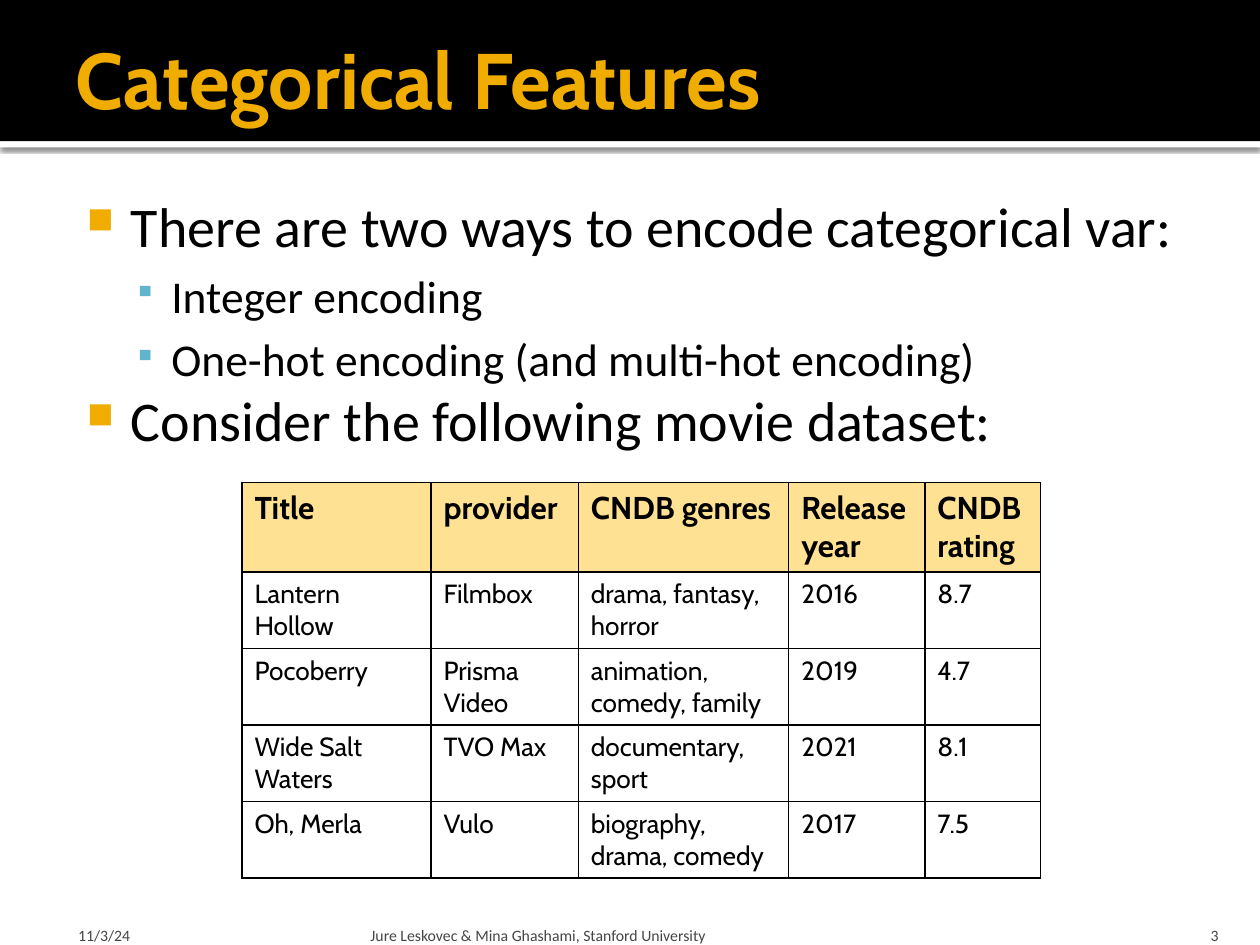
from lxml.etree import SubElement
from pptx import Presentation
from pptx.dml.color import RGBColor
from pptx.enum.shapes import MSO_SHAPE
from pptx.enum.text import MSO_ANCHOR, MSO_AUTO_SIZE, PP_ALIGN
from pptx.oxml.ns import qn
from pptx.util import Inches, Pt

BLACK, WHITE, GOLD, TEAL = "000000", "FFFFFF", "F0AD00", "60B5CC"
GREY, HEADER_FILL = "454545", "FFE193"

POINTS = [
    (0, "There are two ways to encode categorical var:"),
    (1, "Integer encoding"),
    (1, "One-hot encoding (and multi-hot encoding)"),
    (0, "Consider the following movie dataset:"),
]
LEVELS = [
    {"size": 32, "indent": (0.48, -0.35), "before": 0, "bullet": ("■", GOLD, 65)},
    {"size": 26, "indent": (0.8, -0.3), "before": 5.2, "bullet": ("▪", TEAL, 70)},
]
COLUMN_WIDTHS = [1.5, 1.17, 1.67, 1.08, 0.92]
MOVIES = [
    ["Title", "provider", "CNDB genres", "Release year", "CNDB rating"],
    ["Lantern Hollow", "Filmbox", "drama, fantasy, horror", "2016", "8.7"],
    ["Pocoberry", "Prisma Video", "animation, comedy, family", "2019", "4.7"],
    ["Wide Salt Waters", "TVO Max", "documentary, sport", "2021", "8.1"],
    ["Oh, Merla", "Vulo", "biography, drama, comedy", "2017", "7.5"],
]


def color(value):
    """Turn a hex string into a colour."""
    return RGBColor.from_string(value)


def format_runs(paragraph, size, font, text_color, bold=False):
    """Give every run of a paragraph the same font."""
    for run in paragraph.runs:
        run.font.size = Pt(size)
        run.font.name = font
        run.font.bold = bold
        run.font.color.rgb = color(text_color)


def set_frame(frame, margins, anchor):
    """Set the wrapping, insets and anchor of a text frame."""
    frame.word_wrap = True
    frame.auto_size = MSO_AUTO_SIZE.NONE
    frame.vertical_anchor = anchor
    (frame.margin_left, frame.margin_top,
     frame.margin_right, frame.margin_bottom) = map(Inches, margins)


def add_band(slide, top, height, fill):
    """Add a full-width band without outline or shadow."""
    band = slide.shapes.add_shape(
        MSO_SHAPE.RECTANGLE, 0, Inches(top), Inches(10), Inches(height))
    band.shadow.inherit = False
    band.fill.solid()
    band.fill.fore_color.rgb = color(fill)
    band.line.fill.background()
    return band


def add_drop_shadow(band):
    """Cast a soft shadow straight down."""
    effects = band._element.spPr.find(qn("a:effectLst"))
    shadow = SubElement(effects, qn("a:outerShdw"), blurRad=str(Pt(2.5)),
                        dist=str(Pt(0.8)), dir="5400000", rotWithShape="0")
    shade = SubElement(shadow, qn("a:srgbClr"), val=BLACK)
    SubElement(shade, qn("a:alpha"), val="60000")


def place_title(slide, text):
    """Fill the title placeholder and bring it in front of the bands."""
    title = slide.shapes.title
    slide.shapes._spTree.append(title._element)
    title.left, title.top = Inches(0.5), Inches(0.08)
    title.width, title.height = Inches(9), Inches(1.08)
    title.text_frame.text = text
    set_frame(title.text_frame, (0.1, 0.05, 0.05, 0.05), MSO_ANCHOR.MIDDLE)
    heading = title.text_frame.paragraphs[0]
    heading.alignment = PP_ALIGN.LEFT
    format_runs(heading, 45, "Cabin", GOLD, bold=True)


def set_bullet(paragraph, indent, bullet):
    """Give a paragraph a hanging indent and a coloured bullet."""
    character, bullet_color, percent = bullet
    properties = paragraph._p.get_or_add_pPr()
    left, hanging = indent
    properties.set("marL", str(Inches(left)))
    properties.set("indent", str(Inches(hanging)))
    tint = SubElement(properties, qn("a:buClr"))
    SubElement(tint, qn("a:srgbClr"), val=bullet_color)
    SubElement(properties, qn("a:buSzPct"), val=str(percent * 1000))
    SubElement(properties, qn("a:buChar"), char=character)


def add_points(slide):
    """Add the two-level bullet list."""
    points = slide.shapes.add_textbox(
        Inches(0.5), Inches(1.42), Inches(9), Inches(2.3))
    frame = points.text_frame
    frame.text = "\n".join(text for _, text in POINTS)
    set_frame(frame, (0.06, 0.1, 0.1, 0.05), MSO_ANCHOR.TOP)
    for paragraph, (level, _) in zip(frame.paragraphs, POINTS):
        style = LEVELS[level]
        paragraph.level = level
        paragraph.space_before = Pt(style["before"])
        set_bullet(paragraph, style["indent"], style["bullet"])
        format_runs(paragraph, style["size"], "Calibri", BLACK)


def add_footer(slide, text, left, width, margins, alignment=PP_ALIGN.LEFT):
    """Add one small text at the foot of the slide."""
    footer = slide.shapes.add_textbox(
        Inches(left), Inches(7.2), Inches(width), Inches(0.3))
    footer.text_frame.text = text
    set_frame(footer.text_frame, margins, MSO_ANCHOR.BOTTOM)
    paragraph = footer.text_frame.paragraphs[0]
    paragraph.alignment = alignment
    format_runs(paragraph, 9, "Calibri", GREY)


def set_borders(cell):
    """Draw a thin black line on all sides of a cell."""
    properties = cell._tc.get_or_add_tcPr()
    for side in ("lnL", "lnR", "lnT", "lnB"):
        line = SubElement(properties, qn(f"a:{side}"), w=str(Pt(1)))
        fill = SubElement(line, qn("a:solidFill"))
        SubElement(fill, qn("a:srgbClr"), val=BLACK)


def fill_cell(cell, text, is_header):
    """Write and format one table cell."""
    cell.text_frame.text = text
    set_borders(cell)
    if is_header:
        cell.fill.solid()
        cell.fill.fore_color.rgb = color(HEADER_FILL)
    else:
        cell.fill.background()
    format_runs(cell.text_frame.paragraphs[0], 18 if is_header else 15,
                "Cabin", BLACK, bold=is_header)


def add_movies(slide):
    """Add the movie table."""
    movies = slide.shapes.add_table(
        len(MOVIES), len(COLUMN_WIDTHS), Inches(1.92), Inches(3.83),
        Inches(sum(COLUMN_WIDTHS)), Inches(3.1)).table
    movies.horz_banding = False
    for column, width in zip(movies.columns, COLUMN_WIDTHS):
        column.width = Inches(width)
    for index, values in enumerate(MOVIES):
        movies.rows[index].height = Inches(0.6 if index else 0.7)
        for cell, text in zip(movies.rows[index].cells, values):
            fill_cell(cell, text, is_header=index == 0)


def main():
    """Build the slide and save it."""
    deck = Presentation()
    deck.slide_width, deck.slide_height = Inches(10), Inches(7.5)
    slide = deck.slides.add_slide(deck.slide_layouts.get_by_name("Title Only"))
    slide.background.fill.solid()
    slide.background.fill.fore_color.rgb = color(WHITE)
    add_drop_shadow(add_band(slide, 1.12, 0.05, WHITE))
    add_band(slide, 0, 1.12, BLACK)
    place_title(slide, "Categorical Features")
    add_points(slide)
    add_footer(slide, "11/3/24", 0.5, 2.33, (0.12, 0.05, 0.05, 0))
    add_footer(slide, "Jure Leskovec & Mina Ghashami, Stanford University",
               2.89, 6.02, (0.05, 0.05, 0.05, 0))
    add_footer(slide, "3", 8.97, 0.8, (0.1, 0.05, 0.1, 0), PP_ALIGN.RIGHT)
    add_movies(slide)
    deck.save("out.pptx")


if __name__ == "__main__":
    main()
